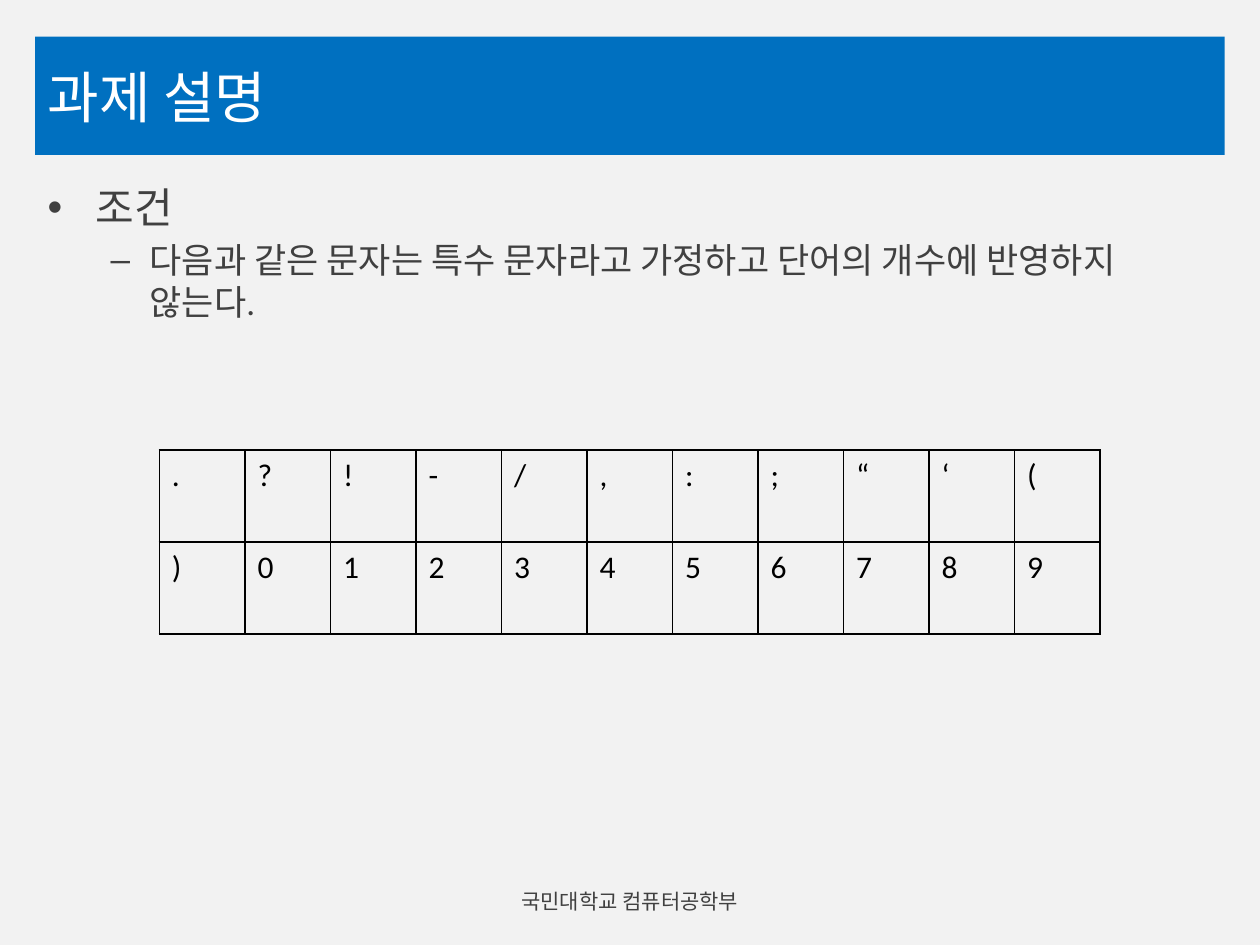
from collections import namedtuple
from dataclasses import dataclass

from lxml import etree
from pptx import Presentation
from pptx.dml.color import RGBColor
from pptx.enum.shapes import MSO_SHAPE
from pptx.enum.text import MSO_ANCHOR, PP_ALIGN
from pptx.oxml.ns import qn
from pptx.util import Inches, Pt

RECT = MSO_SHAPE.RECTANGLE
TOP, MIDDLE = MSO_ANCHOR.TOP, MSO_ANCHOR.MIDDLE
LEFT, CENTER = PP_ALIGN.LEFT, PP_ALIGN.CENTER

Box = namedtuple("Box", "left top width height")
Level = namedtuple("Level", "bullet size margin hanging")


@dataclass(frozen=True)
class Theme:
    page: str = "F2F2F2"
    band: str = "0070C0"
    light: str = "FFFFFF"
    body: str = "404040"
    ink: str = "000000"
    heading_font: str = "Lato"
    body_font: str = "Calibri"
    title_size: int = 32
    cell_size: int = 18
    footer_size: int = 12
    border_width: int = 1
    space_share: float = 0.2


THEME = Theme()
WIDTH, HEIGHT = 10, 7.5
LEVELS = (Level("•", 24, 0.38, 0.38), Level("–", 20, 0.81, 0.31))
CONDITIONS = (
    (0, "조건"),
    (1, "다음과 같은 문자는 특수 문자라고 가정하고 단어의 개수에 반영하지 않는다."),
)
SPECIAL_CHARACTERS = (".?!-/,:;“‘(", ")0123456789")


def inches(box):
    return [Inches(v) for v in box]


def add_text(p, text, font, size, color):
    r = p.add_run()
    r.text = text
    for name, value in {"name": font, "size": Pt(size)}.items():
        setattr(r.font, name, value)
    r.font.color.rgb = RGBColor.from_string(color)


def add_text_frame(s, box, anchor):
    tf = s.shapes.add_textbox(*inches(box)).text_frame
    for name, value in {"word_wrap": True, "vertical_anchor": anchor}.items():
        setattr(tf, name, value)
    return tf


def add_panel(s, box, color):
    sp = s.shapes.add_shape(RECT, *inches(box))
    sp.shadow.inherit = False
    sp.fill.solid()
    sp.fill.fore_color.rgb = RGBColor.from_string(color)
    sp.line.fill.background()


def add_line_of_text(s, box, text, size, color, align=LEFT):
    p = add_text_frame(s, box, MIDDLE).paragraphs[0]
    p.alignment = align
    add_text(p, text, THEME.heading_font, size, color)


def add_title_band(s, box, text):
    add_panel(s, box, THEME.band)
    add_line_of_text(s, box, text, THEME.title_size, THEME.light)


def set_bullet(p, level):
    pPr = p._p.get_or_add_pPr()
    pPr.set("marL", str(Inches(level.margin)))
    pPr.set("indent", str(-Inches(level.hanging)))
    etree.SubElement(pPr, qn("a:buFont"), typeface="Arial")
    etree.SubElement(pPr, qn("a:buChar"), char=level.bullet)


def add_bullets(s, box, items):
    tf = add_text_frame(s, box, TOP)
    for i, (depth, text) in enumerate(items):
        level = LEVELS[depth]
        p = tf.add_paragraph() if i else tf.paragraphs[0]
        p.level = depth
        p.space_before = Pt(level.size * THEME.space_share)
        set_bullet(p, level)
        add_text(p, text, THEME.body_font, level.size, THEME.body)


def set_borders(cell):
    tcPr = cell._tc.get_or_add_tcPr()
    for side in ("lnL", "lnR", "lnT", "lnB"):
        ln = etree.SubElement(tcPr, qn(f"a:{side}"), w=str(Pt(THEME.border_width)))
        fill = etree.SubElement(ln, qn("a:solidFill"))
        etree.SubElement(fill, qn("a:srgbClr"), val=THEME.ink)


def add_character_table(s, box, rows):
    """Place one character per cell, with equal columns and rows."""
    columns = len(rows[0])
    table = s.shapes.add_table(len(rows), columns, *inches(box)).table
    table.first_row = table.horz_banding = False
    for column in table.columns:
        column.width = Inches(box.width / columns)
    for row in table.rows:
        row.height = Inches(box.height / len(rows))
    for y, characters in enumerate(rows):
        for x, character in enumerate(characters):
            cell = table.cell(y, x)
            set_borders(cell)
            cell.fill.background()
            add_text(cell.text_frame.paragraphs[0], character,
                     THEME.body_font, THEME.cell_size, THEME.ink)


def main():
    prs = Presentation()
    prs.slide_width, prs.slide_height = Inches(WIDTH), Inches(HEIGHT)
    s = prs.slides.add_slide(prs.slide_layouts[6])

    margin = 0.28
    content_width = WIDTH - 2 * margin
    table_width, footer_width = 7.47, 3.78

    add_panel(s, Box(0, 0, WIDTH, HEIGHT), THEME.page)
    add_title_band(s, Box(margin, 0.29, content_width, 0.94), "과제 설명")
    add_bullets(s, Box(margin, 1.39, content_width, 5.28), CONDITIONS)
    add_line_of_text(s, Box((WIDTH - footer_width) / 2, 6.95, footer_width, 0.4),
                     "국민대학교 컴퓨터공학부", THEME.footer_size, THEME.body, CENTER)
    add_character_table(s, Box((WIDTH - table_width) / 2, 3.57, table_width, 1.46),
                        SPECIAL_CHARACTERS)
    prs.save("out.pptx")


if __name__ == "__main__":
    main()
